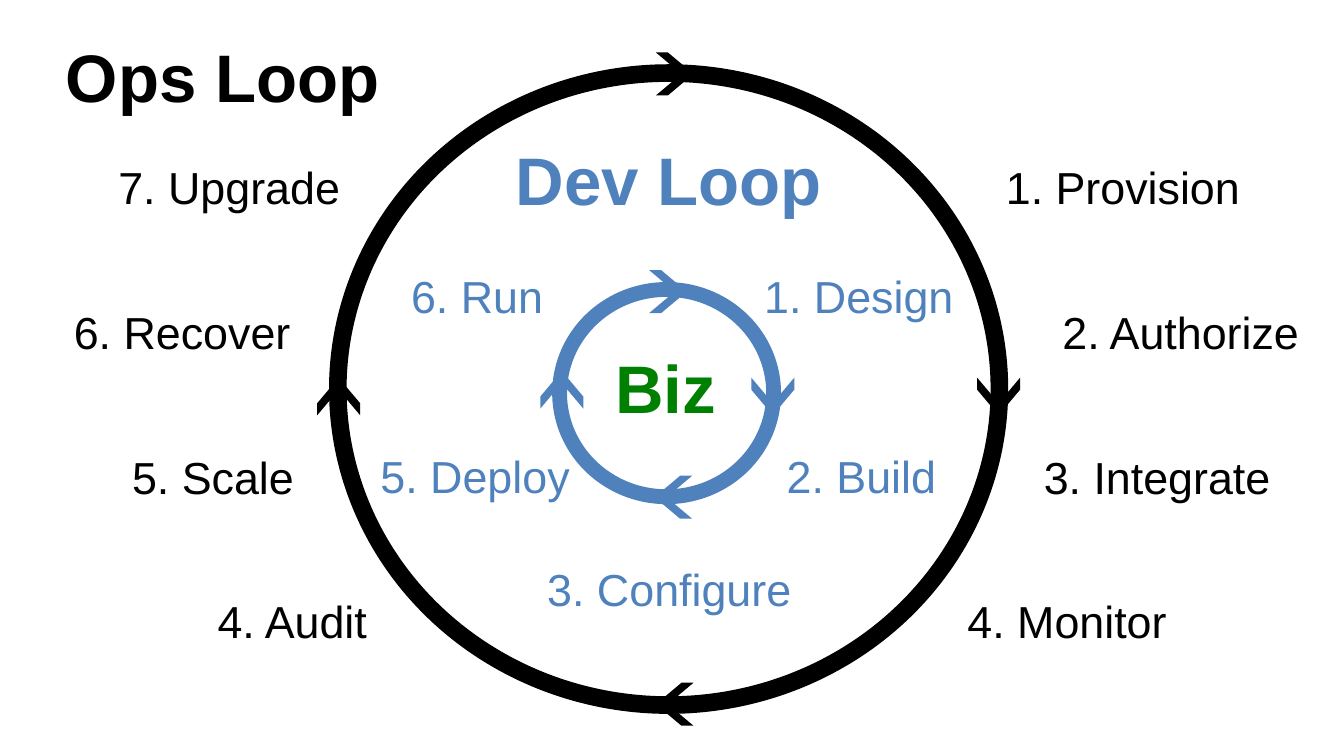
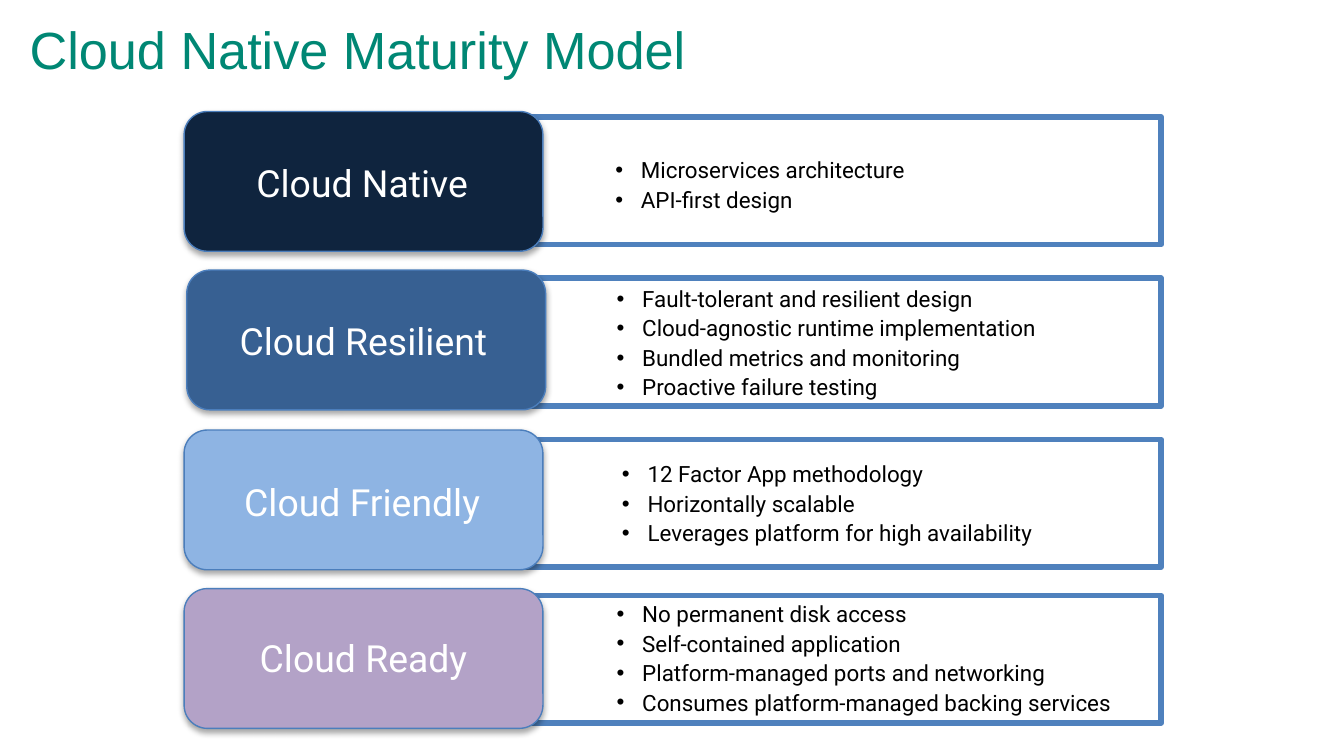
import pptx
import pptx.util
import pptx.dml.color
import pptx.enum.shapes
import pptx.enum.text
import pptx.oxml
import pptx.oxml.ns

Inches = pptx.util.Inches
Pt = pptx.util.Pt
RGBColor = pptx.dml.color.RGBColor
KIND = pptx.enum.shapes.MSO_SHAPE
ALIGN = pptx.enum.text.PP_ALIGN
ANCHOR = pptx.enum.text.MSO_ANCHOR

BLACK = RGBColor(0x00, 0x00, 0x00)
WHITE = RGBColor(0xFF, 0xFF, 0xFF)
BLUE = RGBColor(0x4F, 0x81, 0xBD)
GREEN = RGBColor(0x00, 0x80, 0x00)
TEAL = RGBColor(0x00, 0x87, 0x74)
EDGE = RGBColor(0x4B, 0x7E, 0xBC)
NAVY = RGBColor(0x0F, 0x24, 0x3E)
STEEL = RGBColor(0x37, 0x60, 0x92)
SKY = RGBColor(0x8E, 0xB4, 0xE3)
MAUVE = RGBColor(0xB3, 0xA2, 0xC7)

SPACE = pptx.oxml.ns.nsdecls("a")
SHADE = (
    f'<a:effectLst {SPACE}>'
    '<a:outerShdw blurRad="39370" dist="22860" dir="5400000" rotWithShape="0">'
    '<a:srgbClr val="000000"><a:alpha val="35000"/></a:srgbClr>'
    '</a:outerShdw></a:effectLst>')
BULLET = (f'<a:buFont {SPACE} typeface="Arial"/>',
          f'<a:buChar {SPACE} char="•"/>')


def write(slide, text, at, size=24, color=BLACK, font="Arial", bold=False,
          align=ALIGN.CENTER, anchor=ANCHOR.MIDDLE, space=1.1, bullet=False,
          title=False, wrap=True):
    """Write one paragraph per line of text, in a text box or the title."""
    place = [Inches(v) for v in at]
    if title:
        box = slide.shapes.title
        box.left, box.top, box.width, box.height = place
    else:
        box = slide.shapes.add_textbox(*place)
    frame = box.text_frame
    frame.word_wrap = wrap
    frame.auto_size = pptx.enum.text.MSO_AUTO_SIZE.NONE
    frame.vertical_anchor = anchor
    frame.margin_left = frame.margin_right = Inches(0.1)
    frame.margin_top = frame.margin_bottom = Inches(0.05)
    frame.text = text
    for para in frame.paragraphs:
        if bullet:
            props = para._p.get_or_add_pPr()
            props.set("marL", str(Inches(0.19)))
            props.set("indent", str(-Inches(0.19)))
            for part in BULLET:
                props.append(pptx.oxml.parse_xml(part))
        para.alignment = align
        para.line_spacing = space
        para.space_before = Pt(0)
        para.font.size = Pt(size)
        para.font.name = font
        para.font.bold = bold
        para.font.color.rgb = color


def draw(slide, kind, at, fill=None, line=None, width=0, adj=None, turn=0):
    """Draw a preset shape without a shadow."""
    shape = slide.shapes.add_shape(kind, *[Inches(v) for v in at])
    shape.shadow.inherit = False
    if fill is None:
        shape.fill.background()
    else:
        shape.fill.solid()
        shape.fill.fore_color.rgb = fill
    if line is None:
        shape.line.fill.background()
    else:
        shape.line.color.rgb = line
        shape.line.width = Pt(width)
    if adj is not None:
        shape.adjustments[0] = adj
    shape.rotation = turn
    return shape


# Widescreen deck, 16 by 9
deck = pptx.Presentation()
deck.slide_width = Inches(10)
deck.slide_height = Inches(10) * 9 // 16
plain = deck.slide_layouts[5]

# Slide 1: the two loops
loops = deck.slides.add_slide(plain)
write(loops, "Ops Loop", (0.39, 0.21, 9.62, 0.52), size=36, bold=True,
      align=ALIGN.LEFT, anchor=ANCHOR.TOP, space=1.0, title=True)

draw(loops, KIND.DONUT, (4.14, 2.13, 1.64, 1.59), BLUE, BLUE, 4.5, 0.03)
draw(loops, KIND.DONUT, (2.49, 0.52, 4.97, 4.75), BLACK, BLACK, 6, 0.01)

# Steps of each loop: text, left, top, width
steps = {
    BLUE: [("1. Design", 5.58, 1.88, 1.62), ("2. Build", 5.63, 3.22, 1.56),
           ("3. Configure", 3.93, 4.06, 2.1), ("5. Deploy", 2.71, 3.22, 1.65),
           ("6. Run", 2.9, 1.88, 1.3)],
    BLACK: [("1. Provision", 7.26, 1.07, 2.19), ("2. Authorize", 7.78, 2.15, 2.01),
            ("3. Integrate", 7.58, 3.23, 2.06), ("4. Monitor", 6.96, 4.3, 1.96),
            ("4. Audit", 1.36, 4.3, 1.63), ("5. Scale", 0.85, 3.23, 1.47),
            ("6. Recover", 0.43, 2.15, 1.85), ("7. Upgrade", 0.73, 1.07, 1.95)],
}
for color, items in steps.items():
    for text, left, top, width in items:
        write(loops, text, (left, top, width, 0.6), color=color)

# Chevrons at the top, right, bottom and left of each ring
marks = {
    BLACK: [(4.88, 0.39), (7.29, 2.79), (4.88, 5.08), (2.38, 2.79)],
    BLUE: [(4.83, 2.01), (5.61, 2.79), (4.87, 3.54), (4.04, 2.74)],
}
for color, spots in marks.items():
    for num, (left, top) in enumerate(spots):
        draw(loops, KIND.CHEVRON, (left, top, 0.28, 0.32), color,
             adj=0.68, turn=90 * num)

write(loops, "Dev Loop", (3.62, 1.03, 2.71, 0.54), size=36, color=BLUE, bold=True)
write(loops, "Biz", (4.48, 2.53, 0.96, 0.71), size=36, color=GREEN, bold=True,
      align=ALIGN.LEFT, anchor=ANCHOR.TOP, space=1.0, wrap=False)

# Slide 2: the maturity model
model = deck.slides.add_slide(plain)
write(model, "Cloud Native Maturity Model", (0.12, 0.08, 9.62, 0.61), size=28,
      color=TEAL, align=ALIGN.LEFT, anchor=ANCHOR.TOP, space=1.0, title=True)

# Levels: name, fill, frame top, card left and top, label left and top,
# list place, list points
levels = [
    ("Cloud Native", NAVY, 0.87, (1.37, 0.83), (1.45, 0.92),
     (4.48, 0.89, 4.15, 0.95),
     ["Microservices architecture", "API-first design"]),
    ("Cloud Resilient", STEEL, 2.07, (1.39, 2.01), (1.46, 2.1),
     (4.49, 1.95, 4.23, 1.18),
     ["Fault-tolerant and resilient design",
      "Cloud-agnostic runtime implementation",
      "Bundled metrics and monitoring", "Proactive failure testing"]),
    ("Cloud Friendly", SKY, 3.27, (1.37, 3.2), (1.45, 3.3),
     (4.53, 3.26, 4.23, 0.95),
     ["12 Factor App methodology", "Horizontally scalable",
      "Leverages platform for high availability"]),
    ("Cloud Ready", MAUVE, 4.43, (1.37, 4.38), (1.46, 4.46),
     (4.49, 4.41, 4.23, 0.95),
     ["No permanent disk access", "Self-contained application",
      "Platform-managed ports and networking",
      "Consumes platform-managed backing services"]),
]
for name, fill, top, card, label, place, points in levels:
    draw(model, KIND.RECTANGLE, (3.86, top, 4.78, 0.95), line=BLUE, width=3)
    block = draw(model, KIND.ROUNDED_RECTANGLE, (*card, 2.67, 1.04),
                 fill, EDGE, 0.75)
    props = block._element.spPr
    props.remove(props.find(pptx.oxml.ns.qn("a:effectLst")))
    props.append(pptx.oxml.parse_xml(SHADE))
    write(model, name, (*label, 2.49, 0.87), size=20, color=WHITE,
          font="Roboto", space=1.0)
    write(model, "\n".join(points), place, size=12, font="Roboto",
          align=ALIGN.LEFT, bullet=True)

deck.save("out.pptx")
